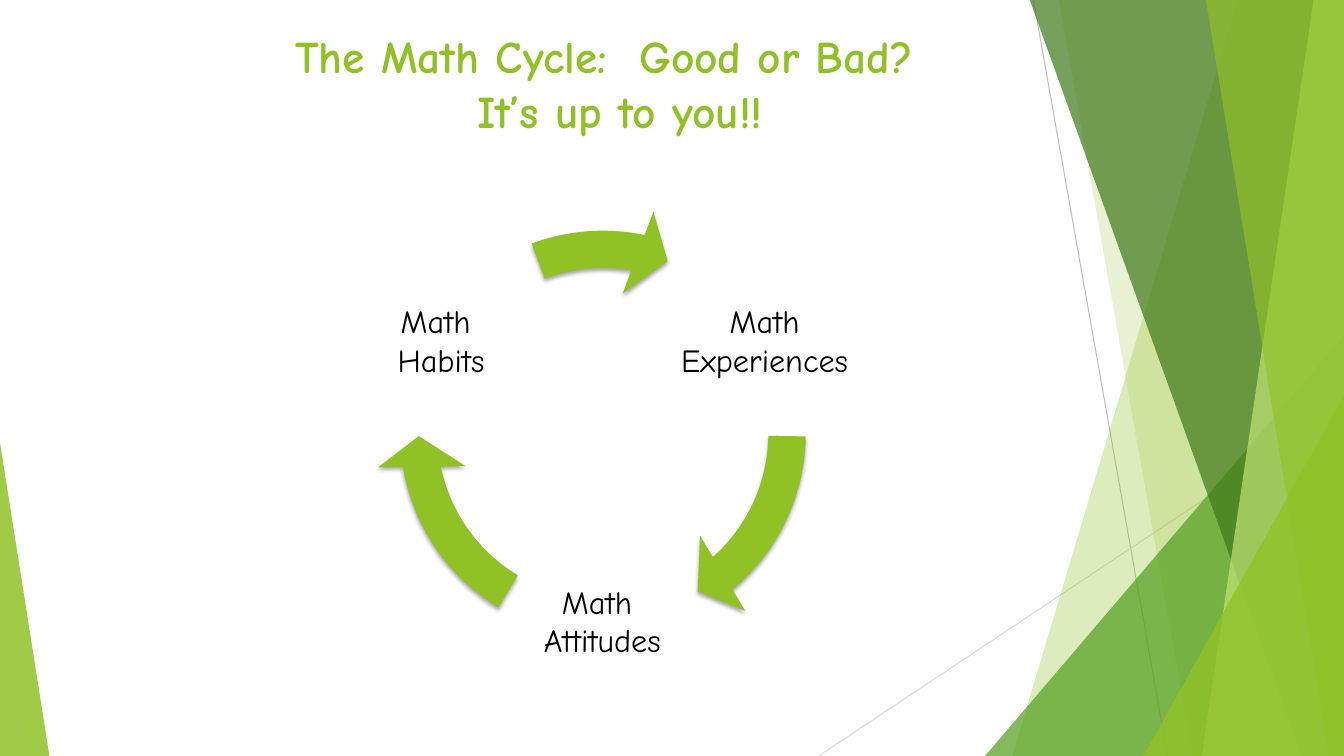
from dataclasses import dataclass

from lxml import etree
from pptx import Presentation
from pptx.dml.color import RGBColor
from pptx.enum.shapes import MSO_CONNECTOR, MSO_SHAPE
from pptx.enum.text import MSO_ANCHOR, MSO_AUTO_SIZE, PP_ALIGN
from pptx.oxml.ns import qn
from pptx.util import Inches, Pt

STRAIGHT = MSO_CONNECTOR.STRAIGHT
TRIANGLE = MSO_SHAPE.ISOSCELES_TRIANGLE
CIRCULAR_ARROW = MSO_SHAPE.CIRCULAR_ARROW
CENTER = PP_ALIGN.CENTER
TOP, MIDDLE = MSO_ANCHOR.TOP, MSO_ANCHOR.MIDDLE
NO_AUTOFIT = MSO_AUTO_SIZE.NONE

WIDTH, HEIGHT = 13.33, 7.5
FONT = "Comic Neue"
GREEN = "90C226"
BLACK = "000000"
LABEL_SIZE = 1.91


@dataclass
class Ray:
    start: tuple[float, float]
    end: tuple[float, float]
    color: str


@dataclass
class Panel:
    """A band from a slanted left edge to the right side of the slide."""
    top_x: float
    bottom_x: float
    color: str
    opacity: int


@dataclass
class Wedge:
    """A right triangle standing on the bottom of the slide."""
    left: float
    top: float
    width: float
    apex: float
    color: str
    opacity: int


@dataclass
class Stage:
    """A label of the cycle and the arrow that leaves it."""
    lines: tuple[str, str]
    left: float
    top: float
    arrow_end: float
    arrow_start: float


RAYS = [
    Ray((10.25, 0), (11.58, HEIGHT), "BFBFBF"),
    Ray((WIDTH, 4.03), (8.12, HEIGHT), "D9D9D9"),
]
FACETS = [
    Panel(12.28, 10.04, GREEN, 30),
    Panel(10.5, 11.83, GREEN, 20),
    Wedge(9.77, 3.33, 3.56, 1, "54A021", 72),
    Panel(10.21, 12.91, "3F7819", 70),
    Panel(13.03, 11.92, "C0E474", 70),
    Panel(11.96, 13.18, GREEN, 65),
    Wedge(11.34, 3.93, 1.99, 1, GREEN, 80),
    Wedge(0, 4.39, 0.49, 0, GREEN, 85),
]
STAGES = [
    Stage(("Math", "Experiences"), 6.63, 2.42, 29.66, 0.5),
    Stage(("Math ", "Attitudes"), 5.02, 5.2, 101.74, 72.58),
    Stage(("Math ", "Habits"), 3.42, 2.42, 168.59, 149.65),
]


def rgb(color: str) -> RGBColor:
    return RGBColor.from_string(color)


def paint(shape, color: str, opacity: int = 100) -> None:
    """Fill a shape without outline or inherited shadow."""
    shape.shadow.inherit = False
    shape.line.fill.background()
    shape.fill.solid()
    shape.fill.fore_color.rgb = rgb(color)
    if opacity < 100:
        tint = shape.fill._xPr.find(qn("a:solidFill"))[0]
        etree.SubElement(tint, qn("a:alpha"), val=str(opacity * 1000))


def draw_ray(page, ray: Ray) -> None:
    line = page.shapes.add_connector(
        STRAIGHT, *(Inches(value) for value in ray.start + ray.end))
    line.line.color.rgb = rgb(ray.color)
    line.line.width = Pt(0.75)
    etree.SubElement(line._element.spPr, qn("a:effectLst"))


def draw_panel(page, panel: Panel) -> None:
    corners = [(WIDTH, -0.01), (WIDTH, HEIGHT), (panel.bottom_x, HEIGHT)]
    outline = page.shapes.build_freeform(Inches(panel.top_x), Inches(-0.01))
    outline.add_line_segments([(Inches(x), Inches(y)) for x, y in corners])
    paint(outline.convert_to_shape(), panel.color, panel.opacity)


def draw_wedge(page, wedge: Wedge) -> None:
    shape = page.shapes.add_shape(
        TRIANGLE, Inches(wedge.left), Inches(wedge.top),
        Inches(wedge.width), Inches(HEIGHT - wedge.top))
    shape.adjustments[0] = wedge.apex
    paint(shape, wedge.color, wedge.opacity)


def draw_label(page, stage: Stage) -> None:
    box = page.shapes.add_textbox(
        Inches(stage.left), Inches(stage.top),
        Inches(LABEL_SIZE), Inches(LABEL_SIZE))
    frame = box.text_frame
    frame.word_wrap = True
    frame.vertical_anchor = MIDDLE
    frame.margin_left = frame.margin_right = Inches(0.03)
    frame.margin_top = frame.margin_bottom = Inches(0.03)
    frame.text = "\n".join(stage.lines)
    for para in frame.paragraphs:
        para.alignment = CENTER
        para.font.name = FONT
        para.font.size = Pt(23)
        para.font.color.rgb = rgb(BLACK)


def draw_arrow(page, stage: Stage) -> None:
    """Draw one arc of the ring with a soft shadow below it."""
    arrow = page.shapes.add_shape(
        CIRCULAR_ARROW, Inches(3.72), Inches(2.04), Inches(4.52), Inches(4.52))
    settings = (0.082, 5.756, stage.arrow_end, stage.arrow_start, 0.096)
    for index, value in enumerate(settings):
        arrow.adjustments[index] = value
    paint(arrow, GREEN)
    effects = arrow._element.spPr.find(qn("a:effectLst"))
    shadow = etree.SubElement(
        effects, qn("a:outerShdw"), blurRad=str(Pt(3)), dist=str(Pt(2)),
        dir="5400000", rotWithShape="0")
    tint = etree.SubElement(shadow, qn("a:srgbClr"), val=BLACK)
    etree.SubElement(tint, qn("a:alpha"), val="35000")


def write_title(page) -> None:
    title = page.shapes.title
    title.left, title.top = Inches(2.14), Inches(0.23)
    title.width, title.height = Inches(8.02), Inches(1.13)
    frame = title.text_frame
    frame.word_wrap = True
    frame.auto_size = NO_AUTOFIT
    frame.vertical_anchor = TOP
    frame.text = "The Math Cycle:  Good or Bad?  \vIt’s up to you!!"
    para = frame.paragraphs[0]
    para.alignment = CENTER
    para.font.name = FONT
    para.font.size = Pt(32.4)
    para.font.bold = True
    para.font.color.rgb = rgb(GREEN)


def main() -> None:
    deck = Presentation()
    deck.slide_width, deck.slide_height = Inches(WIDTH), Inches(HEIGHT)
    page = deck.slides.add_slide(deck.slide_layouts.get_by_name("Title Only"))
    for ray in RAYS:
        draw_ray(page, ray)
    for facet in FACETS:
        if isinstance(facet, Panel):
            draw_panel(page, facet)
        else:
            draw_wedge(page, facet)
    for stage in STAGES:
        draw_label(page, stage)
        draw_arrow(page, stage)
    write_title(page)
    deck.save("out.pptx")


if __name__ == "__main__":
    main()
